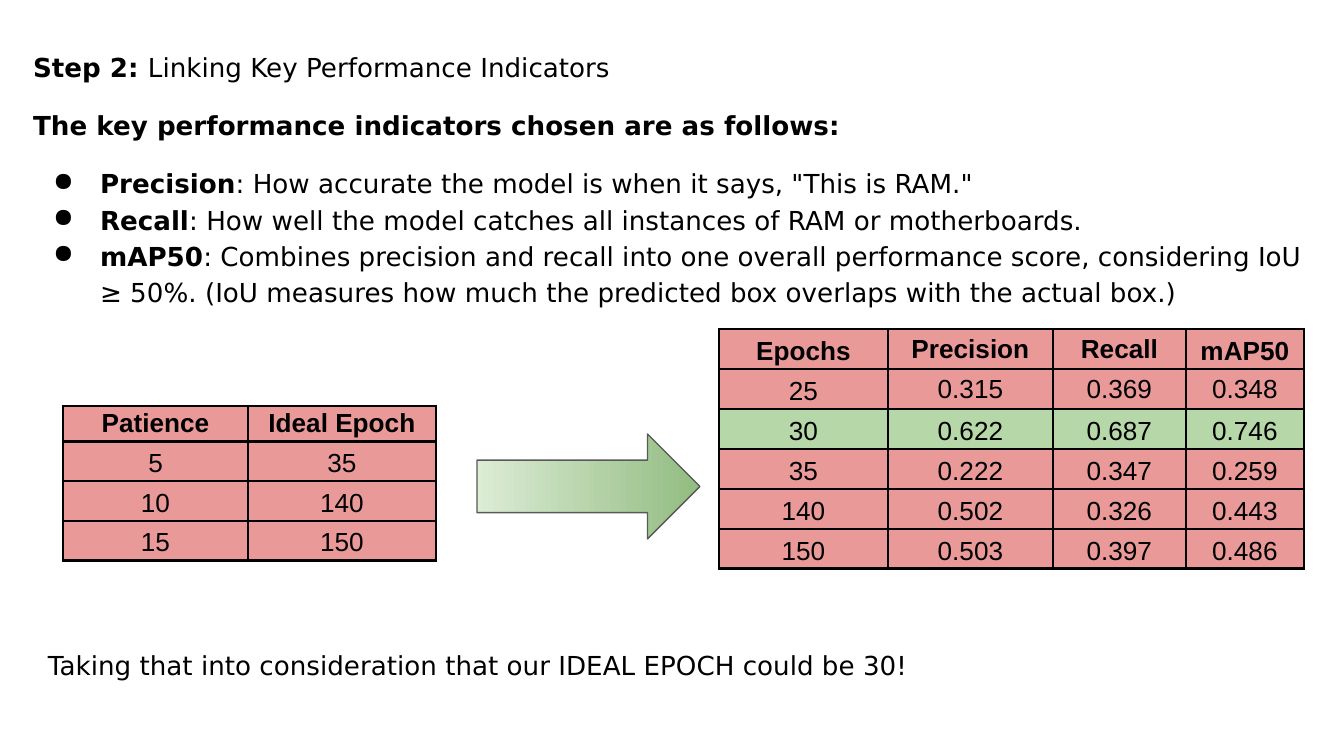
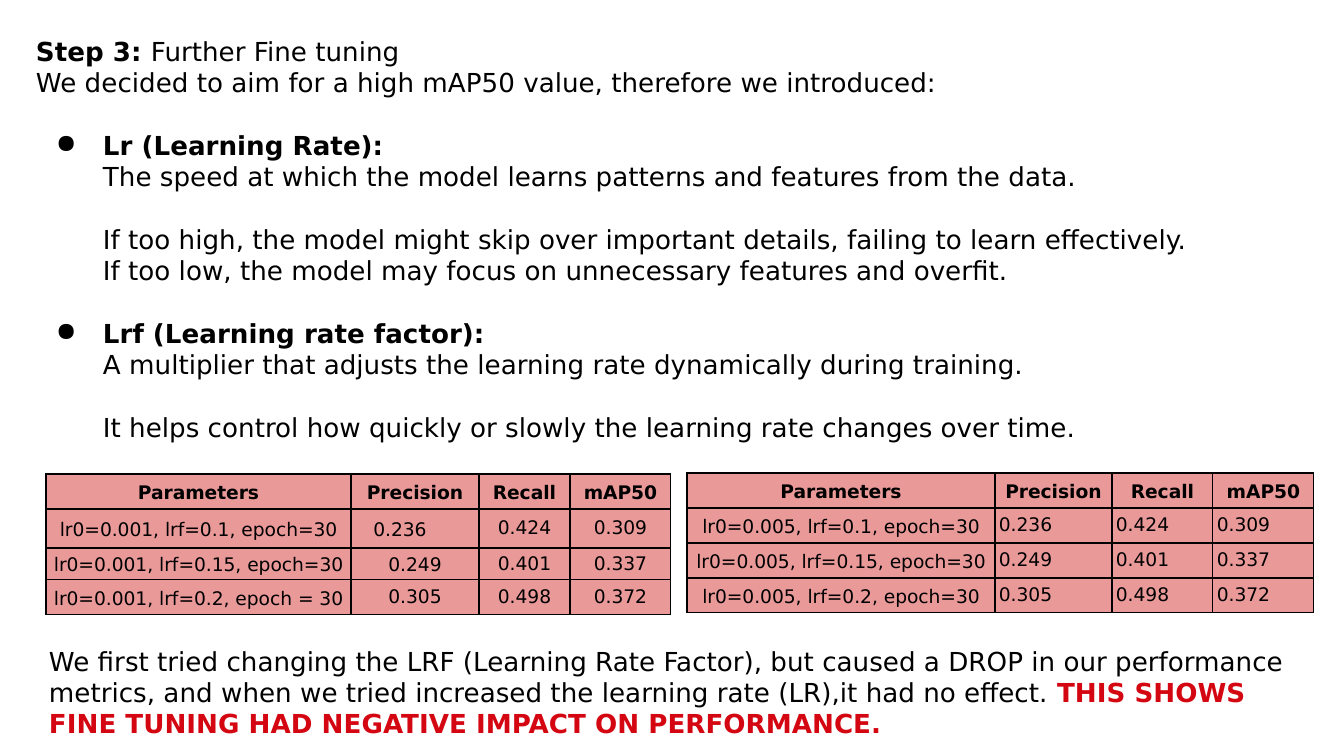
import pptx
import pptx.util
import pptx.dml.color
import pptx.enum.shapes
import pptx.enum.text
import pptx.oxml
import pptx.oxml.ns
from dataclasses import dataclass

ALIGN = pptx.enum.text.PP_ALIGN
ANCHOR = pptx.enum.text.MSO_ANCHOR


@dataclass(frozen=True)
class Theme:
    black: str = "000000"
    red: str = "D40612"
    pink: str = "EA9999"
    green: str = "B6D7A8"
    pale: str = "DCECD5"
    deep: str = "92BC81"
    gray: str = "595959"
    body: str = "DejaVu Sans"
    plain: str = "Arial"
    text: int = 14
    small: int = 10
    loose: float = 1.15
    pad: int = 13


THEME = Theme()
WIDTH, HEIGHT = 1344, 756
SCALE = 914400 / 134.4

# Text: each paragraph is (kind, space before in points, line spacing, runs);
# each run is (text, style)
LOOSE = THEME.loose
GAP = 16.8
STEP_TWO = [
    ("", 0, 1, [("Step 2: ", "bold"), ("Linking Key Performance Indicators", "")]),
    ("", 12, LOOSE, [("The key performance indicators chosen are as follows:", "bold")]),
    ("bullet", 12, LOOSE, [
        ("Precision", "bold"),
        (': How accurate the model is when it says, "This is RAM."', "")]),
    ("bullet", 0, LOOSE, [
        ("Recall", "bold"),
        (": How well the model catches all instances of RAM or motherboards.", "")]),
    ("bullet", 0, LOOSE, [
        ("mAP50", "bold"),
        (": Combines precision and recall into one overall performance score, "
         "considering IoU ≥ 50%. (IoU measures how much the predicted box "
         "overlaps with the actual box.)", "")]),
]
IDEAL = [("", 0, 1, [
    ("Taking that into consideration that our IDEAL EPOCH could be 30!", "")])]
STEP_THREE = [
    ("", 0, 1, [("Step 3: ", "bold"), ("Further Fine tuning", "")]),
    ("", 0, 1, [
        ("We decided to aim for a high mAP50 value, therefore we introduced:", "")]),
    ("bullet", GAP, 1, [("Lr (Learning Rate):", "bold")]),
    ("indent", 0, 1, [
        ("The speed at which the model learns patterns and features from the data.", "")]),
    ("indent", GAP, 1, [
        ("If too high, the model might skip over important details, "
         "failing to learn effectively.", "")]),
    ("indent", 0, 1, [
        ("If too low, the model may focus on unnecessary features and overfit.", "")]),
    ("bullet", GAP, 1, [("Lrf (Learning rate factor):", "bold")]),
    ("indent", 0, 1, [
        ("A multiplier that adjusts the learning rate dynamically during training.", "")]),
    ("indent", GAP, 1, [
        ("It helps control how quickly or slowly the learning rate changes over time.", "")]),
]
RESULT = [("", 0, 1, [
    ("We first tried changing the LRF (Learning Rate Factor), but caused a DROP in "
     "our performance metrics, and when we tried increased the learning rate (LR),"
     "it had no effect. ", ""),
    ("THIS SHOWS FINE TUNING HAD NEGATIVE IMPACT ON PERFORMANCE.", "red")])]

# Tables: "tight" lists the (row, column) cells set at single line spacing
SCORES = ("Precision", "Recall", "mAP50")
VALUES = [("0.236", "0.424", "0.309"),
          ("0.249", "0.401", "0.337"),
          ("0.305", "0.498", "0.372")]
PATIENCE = dict(
    at=(63, 406), cols=(185, 188), rows=(35, 39, 39, 39),
    font=THEME.plain, size=THEME.text, line=1.5, anchor=ANCHOR.BOTTOM,
    tight={(0, 0), (0, 1)},
    cells=[("Patience", "Ideal Epoch"), ("5", "35"), ("10", "140"), ("15", "150")])
EPOCHS = dict(
    at=(719, 329), cols=(169, 165, 133, 118), rows=(40,) * 6,
    font=THEME.plain, size=THEME.text, line=1.5, green=2,
    tight={(0, 1), (0, 2), (1, 1), (1, 2), (1, 3)},
    cells=[("Epochs", *SCORES),
           ("25", "0.315", "0.369", "0.348"),
           ("30", "0.622", "0.687", "0.746"),
           ("35", "0.222", "0.347", "0.259"),
           ("140", "0.502", "0.326", "0.443"),
           ("150", "0.503", "0.397", "0.486")])
LOW_RATE = dict(
    at=(46, 474), cols=(305, 128, 91, 101), rows=(35, 39, 31, 35),
    font=THEME.body, size=THEME.small, line=0.75, shift={(1, 1): 30},
    tight={(r, c) for r in (1, 2, 3) for c in (1, 2, 3)} - {(1, 1), (2, 1)},
    cells=[("Parameters", *SCORES),
           ("lr0=0.001, lrf=0.1, epoch=30", *VALUES[0]),
           ("lr0=0.001, lrf=0.15, epoch=30", *VALUES[1]),
           ("lr0=0.001, lrf=0.2, epoch = 30", *VALUES[2])])
HIGH_RATE = dict(
    at=(687, 473), cols=(308, 117, 101, 101), rows=(35,) * 4,
    font=THEME.body, size=THEME.small, line=0.75, left=True,
    tight={(r, c) for r in (1, 2, 3) for c in (1, 2, 3)},
    cells=[("Parameters", *SCORES)] + [
        (f"lr0=0.005, lrf={lrf}, epoch=30", *row)
        for lrf, row in zip(("0.1", "0.15", "0.2"), VALUES)])


def px(n):
    return pptx.util.Emu(round(n * SCALE))


def rgb(code):
    return pptx.dml.color.RGBColor.from_string(code)


def node(xml):
    return pptx.oxml.parse_xml(xml.replace(">", f" {pptx.oxml.ns.nsdecls('a')}>", 1))


def style(para, font, size):
    para.font.name = font
    para.font.size = pptx.util.Pt(size)
    para.font.color.rgb = rgb(THEME.black)


def indent(para, kind):
    props = para._p.get_or_add_pPr()
    props.set("marL", str(px(67)))
    props.set("indent", str(-px(47) if kind == "bullet" else 0))
    if kind == "bullet":
        props.append(node(f'<a:buClr><a:srgbClr val="{THEME.black}"/></a:buClr>'))
        props.append(node('<a:buChar char="●"></a:buChar>'))


def write(slide, box, paras, align=ALIGN.LEFT, grow=False):
    frame = slide.shapes.add_textbox(*map(px, box)).text_frame
    frame.word_wrap = True
    if grow:
        frame.auto_size = pptx.enum.text.MSO_AUTO_SIZE.SHAPE_TO_FIT_TEXT
    frame.margin_left = frame.margin_right = px(THEME.pad)
    frame.margin_top = frame.margin_bottom = px(THEME.pad)
    for i, (kind, before, lead, runs) in enumerate(paras):
        para = frame.add_paragraph() if i else frame.paragraphs[0]
        if kind:
            indent(para, kind)
        style(para, THEME.body, THEME.text)
        para.alignment = align
        para.line_spacing = lead
        if before:
            para.space_before = pptx.util.Pt(before)
        for text, look in runs:
            run = para.add_run()
            run.text = text
            run.font.bold = bool(look)
            if look == "red":
                run.font.color.rgb = rgb(THEME.red)


def border(cell, width):
    props = cell._tc.get_or_add_tcPr()
    for side in "LRTB":
        props.append(node(
            f'<a:ln{side} w="{pptx.util.Pt(width)}"><a:solidFill>'
            f'<a:srgbClr val="{THEME.black}"/></a:solidFill></a:ln{side}>'))


def grid(slide, data):
    cols, rows = data["cols"], data["rows"]
    table = slide.shapes.add_table(
        len(rows), len(cols), *map(px, (*data["at"], sum(cols), sum(rows)))).table
    table.first_row = table.horz_banding = False
    for col, width in zip(table.columns, cols):
        col.width = px(width)
    for row, height in zip(table.rows, rows):
        row.height = px(height)
    for r, line in enumerate(data["cells"]):
        for c, text in enumerate(line):
            cell = table.cell(r, c)
            border(cell, data["line"])
            cell.fill.solid()
            cell.fill.fore_color.rgb = rgb(
                THEME.green if r == data.get("green") else THEME.pink)
            cell.vertical_anchor = data.get("anchor", ANCHOR.MIDDLE)
            cell.margin_left = px(4)
            cell.margin_right = px(4 + data.get("shift", {}).get((r, c), 0))
            cell.margin_top = cell.margin_bottom = px(3)
            cell.text = text
            para = cell.text_frame.paragraphs[0]
            style(para, data["font"], data["size"])
            para.font.bold = r == 0
            para.line_spacing = 1 if (r, c) in data["tight"] else LOOSE
            left = data.get("left") and r and c
            para.alignment = ALIGN.LEFT if left else ALIGN.CENTER


def arrow(slide, box):
    shape = slide.shapes.add_shape(
        pptx.enum.shapes.MSO_SHAPE.RIGHT_ARROW, *map(px, box))
    shape.shadow.inherit = False
    shape.fill.gradient()
    shape.fill.gradient_angle = 0
    for stop, color, place in zip(
            shape.fill.gradient_stops, (THEME.pale, THEME.deep), (0, 1)):
        stop.color.rgb = rgb(color)
        stop.position = place
    shape.line.color.rgb = rgb(THEME.gray)
    shape.line.width = pptx.util.Pt(0.75)


def main():
    deck = pptx.Presentation()
    deck.slide_width, deck.slide_height = px(WIDTH), px(HEIGHT)
    blank = deck.slide_layouts[6]

    # Step 2: performance indicators
    slide = deck.slides.add_slide(blank)
    grid(slide, PATIENCE)
    arrow(slide, (477, 434, 223, 105))
    grid(slide, EPOCHS)
    write(slide, (20, 38, 1314, 281), STEP_TWO, grow=True)
    write(slide, (35, 636, 1269, 69), IDEAL)

    # Step 3: fine tuning
    slide = deck.slides.add_slide(blank)
    write(slide, (23, 22, 1204, 439), STEP_THREE, ALIGN.JUSTIFY, grow=True)
    grid(slide, LOW_RATE)
    grid(slide, HIGH_RATE)
    write(slide, (36, 632, 1270, 125), RESULT)

    deck.save("out.pptx")


if __name__ == "__main__":
    main()
